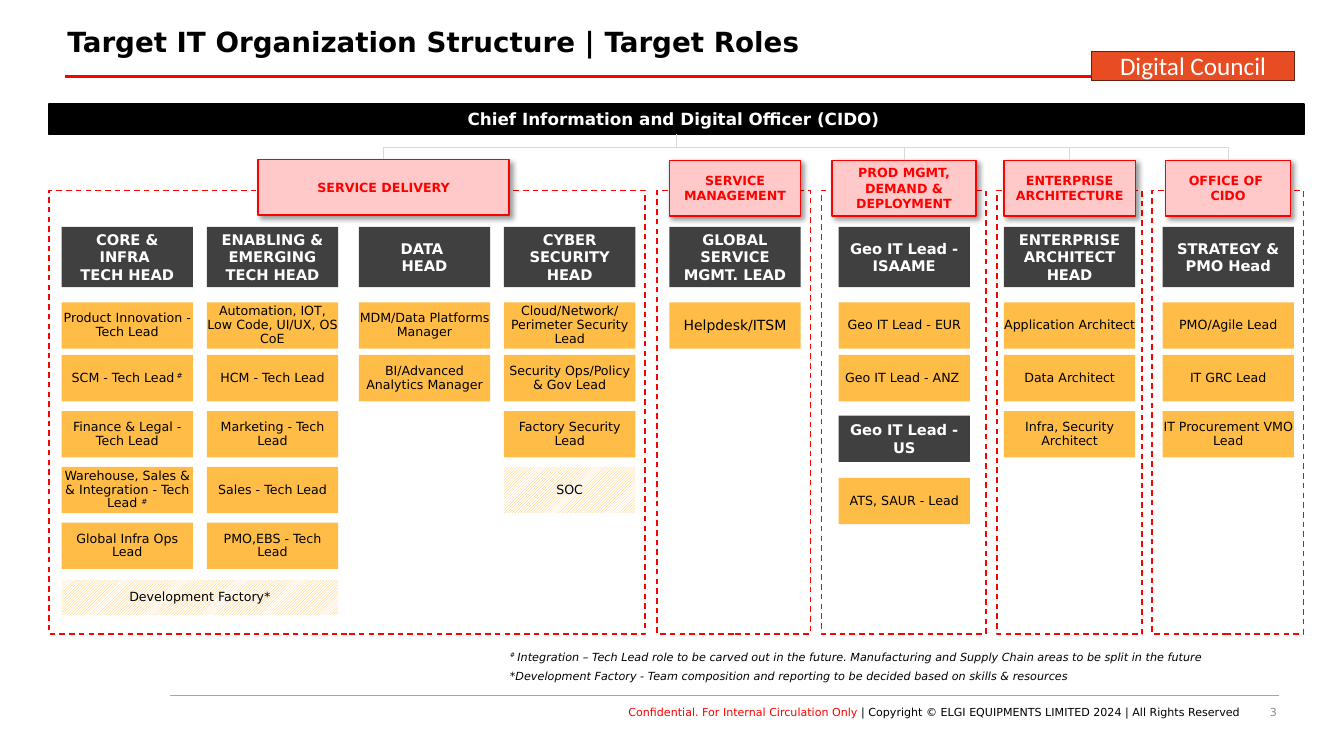
"""Build the target IT organization structure slide."""
import pptx
import pptx.dml.color
import pptx.enum.dml
import pptx.enum.shapes
import pptx.enum.text
import pptx.oxml
import pptx.oxml.ns
import pptx.util

Pt = pptx.util.Pt
Align = pptx.enum.text.PP_ALIGN
Anchor = pptx.enum.text.MSO_ANCHOR
Connector = pptx.enum.shapes.MSO_CONNECTOR
Color = pptx.dml.color.RGBColor.from_string
A = "http://schemas.openxmlformats.org/drawingml/2006/main"
SHADOW = (f'<a:effectLst xmlns:a="{A}"><a:outerShdw blurRad="50800" dist="38100" dir="2700000" '
          'algn="tl" rotWithShape="0"><a:srgbClr val="000000"><a:alpha val="40000"/>'
          '</a:srgbClr></a:outerShdw></a:effectLst>')


class Theme:
    font, badge_font = "DejaVu Sans", "Calibri"
    black, white, red, pink = "000000", "FFFFFF", "FF0000", "FFC9C9"
    dark, amber, orange, brown = "404040", "FFBD47", "E84C22", "66210F"
    link, rule, number = "D9D9D9", "A6A6A6", "8C8C8C"
    title, badge, chief, head = 19.8, 18, 12, 10.5
    role, helpdesk, note, footer = 9, 10, 8, 7.9


def write(shape, text, size, color=Theme.black, font=Theme.font, bold=False, italic=False,
          align=Align.CENTER, anchor=Anchor.MIDDLE, spacing=None, insets=(7.2, 3.6, 7.2, 3.6)):
    """Fill a shape with a string, or with (text, overrides) spans."""
    frame = shape.text_frame
    frame.word_wrap = True
    frame.vertical_anchor = anchor
    frame.margin_left, frame.margin_top, frame.margin_right, frame.margin_bottom = map(Pt, insets)
    para = frame.paragraphs[0]
    para.alignment = align
    if spacing:
        para.line_spacing = spacing
    for words, changes in [(text, {})] if isinstance(text, str) else text:
        for index, line in enumerate(words.split("\n")):
            if index:
                para.add_line_break()
            span = para.add_run()
            span.text = line
            span.font.name = font
            span.font.size = Pt(size)
            span.font.bold = bold
            span.font.italic = changes.get("italic", italic)
            span.font.color.rgb = Color(changes.get("color", color))
            if changes.get("raised"):
                span.font._element.set("baseline", "30000")


def add_box(left, top, width, height, fill=None, line=None, hatched=False):
    """Add a flat rectangle."""
    box = page.shapes.add_shape(pptx.enum.shapes.MSO_SHAPE.RECTANGLE,
                                Pt(left), Pt(top), Pt(width), Pt(height))
    box.shadow.inherit = False
    if hatched:
        box.fill.patterned()
        box.fill.pattern = pptx.enum.dml.MSO_PATTERN.LIGHT_UPWARD_DIAGONAL
        box.fill.fore_color.rgb = Color(fill)
        box.fill.back_color.rgb = Color(Theme.white)
    elif fill:
        box.fill.solid()
        box.fill.fore_color.rgb = Color(fill)
    else:
        box.fill.background()
    if line:
        box.line.color.rgb = Color(line)
        box.line.width = Pt(1)
    else:
        box.line.fill.background()
    return box


deck = pptx.Presentation()
deck.slide_width, deck.slide_height = Pt(960), Pt(540)
page = deck.slides.add_slide(deck.slide_layouts[6])

for left, right, top, color, weight in [(121.7, 913.7, 496.8, Theme.rule, 0.5),
                                        (46.1, 913.7, 54.7, Theme.red, 2.25)]:
    rule = page.shapes.add_connector(Connector.STRAIGHT, Pt(left), Pt(top), Pt(right), Pt(top))
    rule.line.color.rgb = Color(color)
    rule.line.width = Pt(weight)
    rule._element.spPr.append(pptx.oxml.parse_xml(f'<a:effectLst xmlns:a="{A}"/>'))

raised = {"raised": True}
captions = [
    (48.2, 16.6, 864.7, 21.6, "Target IT Organization Structure | Target Roles",
     dict(size=Theme.title, bold=True, spacing=0.9, insets=(0, 3.6, 7.2, 3.6), align=Align.LEFT)),
    (357.1, 460.8, 554.4, 14.4,
     [("# ", raised), ("Integration – Tech Lead role to be carved out in the future. "
                       "Manufacturing and Supply Chain areas to be split in the future",
                       {"italic": True})],
     dict(size=Theme.note, align=Align.LEFT)),
    (357.1, 474.5, 554.4, 17.3, "*Development Factory - Team composition and reporting "
     "to be decided based on skills & resources",
     dict(size=Theme.note, italic=True, align=Align.LEFT)),
    (177.1, 504, 708.5, 14.4,
     [("Conﬁdential. For Internal Circulation Only ", {"color": Theme.red}),
      ("| Copyright © ELGI EQUIPMENTS LIMITED 2024 | All Rights Reserved", {})],
     dict(size=Theme.footer, align=Align.RIGHT, insets=(0, 0, 0, 0))),
    (696.2, 504, 216, 14.4, "3",
     dict(size=Theme.footer, color=Theme.number, align=Align.RIGHT, insets=(0, 0, 0, 0))),
]
for left, top, width, height, text, style in captions:
    caption = page.shapes.add_textbox(Pt(left), Pt(top), Pt(width), Pt(height))
    write(caption, text, anchor=Anchor.TOP, **style)

chief = add_box(35.1, 74.2, 896.4, 21.8, Theme.black, Theme.black)
write(chief, "Chief Information and Digital Officer (CIDO) ", Theme.chief, Theme.white, bold=True)

wide, narrow = (7.2, 3.6, 7.2, 3.6), (0, 3.6, 0, 3.6)
groups = [
    ("SERVICE DELIVERY", 35.1, 425.6, 184.3, 113.9, 179.3, wide, True),
    ("SERVICE MANAGEMENT", 469.4, 109.4, 478.1, 114.5, 93.8, narrow, False),
    ("PROD MGMT, DEMAND & DEPLOYMENT", 586.8, 117.4, 594.2, 114.5, 103, narrow, True),
    ("ENTERPRISE ARCHITECTURE", 712.3, 103.4, 717.1, 114.5, 93.8, wide, True),
    ("OFFICE OF \nCIDO", 823, 108, 832.6, 114.5, 89.3, wide, True),
]
for name, lane_left, lane_width, left, top, width, insets, linked in groups:
    lane = add_box(lane_left, 136.1, lane_width, 316.8, line=Theme.red)
    lane.line.dash_style = pptx.enum.dml.MSO_LINE.DASH
    label = add_box(left, top, width, 39.7, Theme.pink, Theme.red)
    label._element.spPr.remove(label._element.spPr.find(pptx.oxml.ns.qn("a:effectLst")))
    label._element.spPr.append(pptx.oxml.parse_xml(SHADOW))
    write(label, name, Theme.role, Theme.red, bold=True, insets=insets)
    if linked:
        start_x, start_y = chief.left + chief.width // 2, chief.top + chief.height
        run, rise = label.left + label.width // 2 - start_x, label.top - start_y
        link = page.shapes.add_connector(Connector.ELBOW, 0, 0, 0, 0)
        link.begin_connect(chief, 2)
        link.end_connect(label, 0)
        link.left, link.top = start_x + (run - rise) // 2, start_y + (rise - abs(run)) // 2
        link.width, link.height = rise, abs(run)
        frame = link._element.spPr.find(pptx.oxml.ns.qn("a:xfrm"))
        for flip in ("flipH", "flipV"):
            frame.attrib.pop(flip, None)
        frame.set("rot", "5400000" if run < 0 else "16200000")
        if run > 0:
            frame.set("flipH", "1")
        link.line.color.rgb = Color(Theme.link)
        link.line.width = Pt(0.5)
        link._element.spPr.append(pptx.oxml.parse_xml(f'<a:effectLst xmlns:a="{A}"/>'))

card_width, card_height, head_top, head_height = 93.8, 33.1, 162, 43.2
geo_left, service_left = 599, 478.1
row_tops = [216, 253.6, 293.6, 333.5, 373.3]
columns = [
    (44, "CORE & INFRA \nTECH HEAD",
     ["Product Innovation - Tech Lead", [("SCM - Tech Lead", {}), (" #", raised)],
      "Finance & Legal - Tech Lead",
      [("Warehouse, Sales & & Integration - Tech Lead ", {}), ("#", raised)],
      "Global Infra Ops Lead"]),
    (147.7, "ENABLING & EMERGING TECH HEAD",
     ["Automation, IOT, Low Code, UI/UX, OS CoE", "HCM - Tech Lead", "Marketing - Tech Lead",
      "Sales - Tech Lead", "PMO,EBS - Tech Lead"]),
    (256.3, "DATA \nHEAD", ["MDM/Data Platforms Manager", "BI/Advanced Analytics Manager"]),
    (360, "CYBER SECURITY HEAD",
     ["Cloud/Network/Perimeter Security Lead", "Security Ops/Policy & Gov Lead",
      "Factory Security Lead", "SOC"]),
    (service_left, "GLOBAL SERVICE MGMT. LEAD", ["Helpdesk/ITSM"]),
    (geo_left, "Geo IT Lead - ISAAME", ["Geo IT Lead - EUR", "Geo IT Lead - ANZ "]),
    (717.1, "ENTERPRISE ARCHITECT HEAD",
     ["Application Architect", "Data Architect", "Infra, Security Architect"]),
    (830.4, "STRATEGY & PMO Head", ["PMO/Agile Lead", "IT GRC Lead", "IT Procurement VMO Lead"]),
]
heads = [(left, head_top, head_height, name) for left, name, roles in columns]
heads.append((geo_left, 296.9, card_height, "Geo IT Lead - US"))
for left, top, height, name in heads:
    head = add_box(left, top, card_width, height, Theme.dark)
    write(head, name, Theme.head, Theme.white, bold=True, insets=(7.2, 0, 7.2, 0))

cards = [(left, top, card_width, card_height, role)
         for left, name, roles in columns for top, role in zip(row_tops, roles)]
cards += [(geo_left, 341.3, card_width, card_height, "ATS, SAUR - Lead"),
          (44, 414.2, 197.5, 25.2, "Development Factory*")]
for left, top, width, height, role in cards:
    card = add_box(left, top, width, height, Theme.amber,
                   hatched=role in ("SOC", "Development Factory*"))
    size = Theme.helpdesk if role == "Helpdesk/ITSM" else Theme.role
    write(card, role, size, spacing=0.9, insets=(0, 0, 0, 0))

badge = add_box(779.8, 36.6, 144.7, 20.9, Theme.orange, Theme.brown)
write(badge, "Digital Council", Theme.badge, Theme.white, font=Theme.badge_font)

deck.save("out.pptx")
